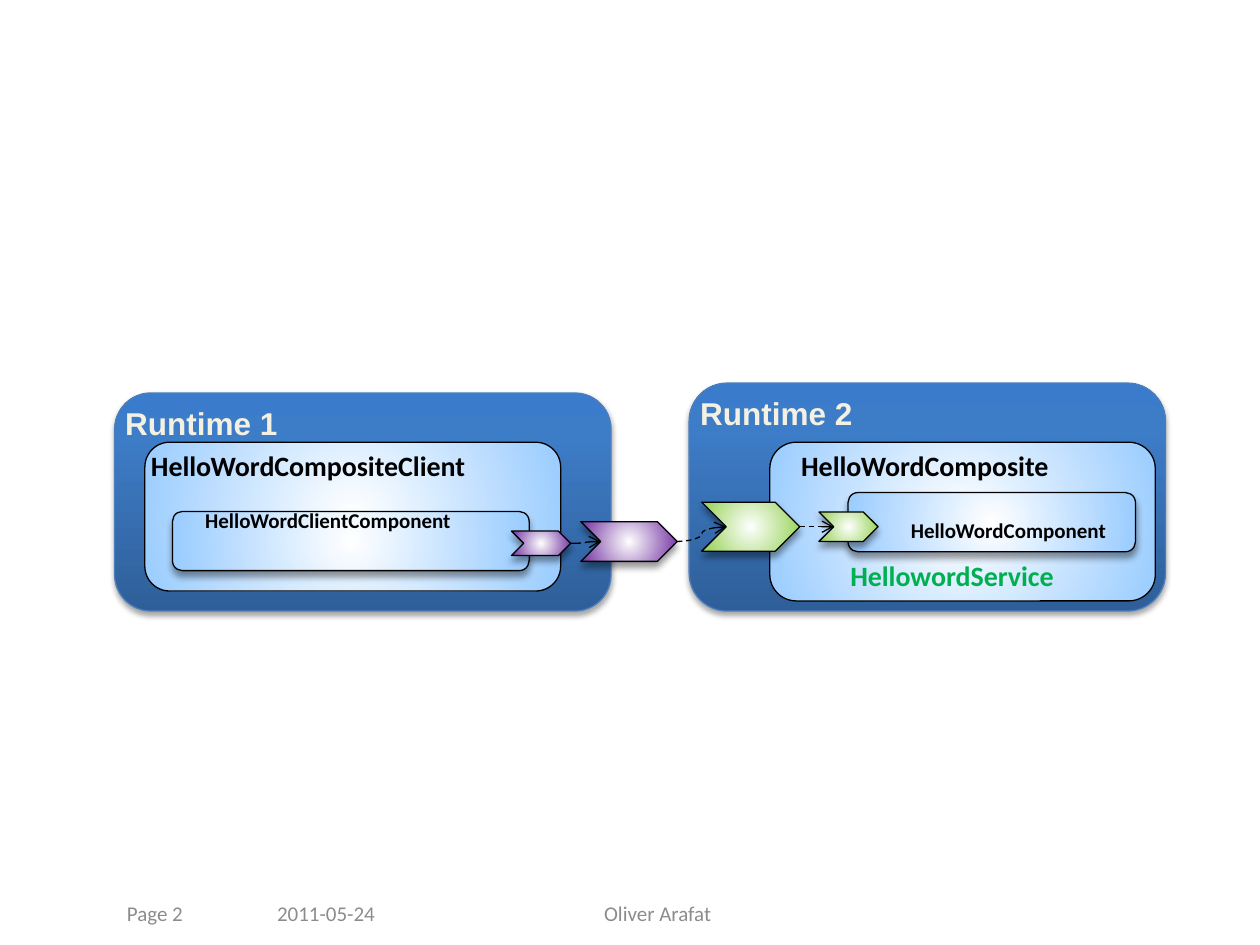
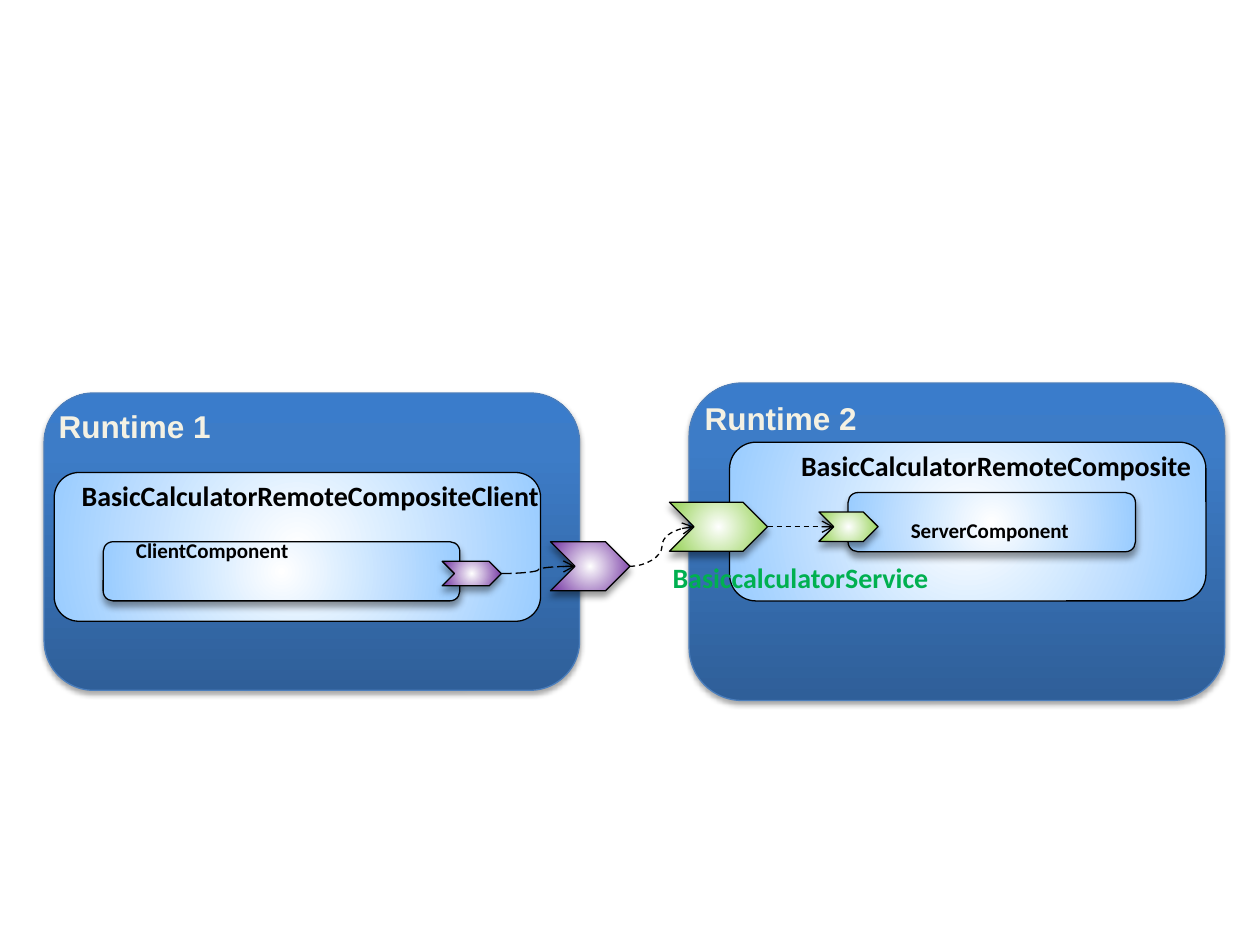
from dataclasses import dataclass

from lxml import etree
from pptx import Presentation
from pptx.dml.color import RGBColor
from pptx.enum import dml, shapes, text
from pptx.oxml import ns
from pptx.util import Pt

# Shared colours and type
BLACK, GREY, CREAM = "000000", "8C8C8C", "F4F1E3"
SERVICE_GREEN, RUNTIME_EDGE = "00B050", "4B7EBC"
PURPLE, LIME, SKY = "7030A0", "92D050", "99CCFF"
RUNTIME_STOPS = [(0, "2F5F99"), (80, "3D7CC7"), (100, "3A7CCB")]
BODY_FONT, RUNTIME_FONT = "Calibri", "Arial"
LEFT, CENTER, RIGHT = text.PP_ALIGN.LEFT, text.PP_ALIGN.CENTER, text.PP_ALIGN.RIGHT
DASH, LONG_DASH = dml.MSO_LINE.DASH, dml.MSO_LINE.LONG_DASH
NOTCH, TIP = 1, 3  # connection sites of a chevron


@dataclass
class Box:
    x: float
    y: float
    w: float
    h: float


@dataclass
class Shadow:
    alpha: int
    blur: float
    dist: float


@dataclass
class Label:
    text: str
    box: Box
    size: int = 16
    color: str = BLACK
    bold: bool = True
    wrap: bool = False
    align: text.PP_ALIGN = LEFT
    anchor: text.MSO_ANCHOR = text.MSO_ANCHOR.TOP


@dataclass
class Runtime:
    name: str
    frame: Box
    composite: Box
    component: Box
    inner_port: Box
    outer_port: Box
    port_color: str
    labels: list[Label]


RUNTIME_SHADOW = Shadow(35, 3.15, 1.8)
PART_SHADOW = Shadow(40, 4, 3)


def rgb(color: str) -> RGBColor:
    return RGBColor.from_string(color)


def add_xml(parent, tag: str, **attrs):
    return etree.SubElement(parent, ns.qn(tag), {k: str(v) for k, v in attrs.items()})


def set_gradient(sp, stops: list, radial: bool) -> None:
    sp.fill.background()
    old = sp._element.spPr.find(ns.qn("a:noFill"))
    grad = etree.Element(ns.qn("a:gradFill"), rotWithShape="1")
    gs_list = add_xml(grad, "a:gsLst")
    for pos, color in stops:
        gs = add_xml(gs_list, "a:gs", pos=pos * 1000)
        add_xml(gs, "a:srgbClr", val=color)
    if radial:
        path = add_xml(grad, "a:path", path="circle")
        add_xml(path, "a:fillToRect", l=50000, t=50000, r=50000, b=50000)
    else:
        add_xml(grad, "a:lin", ang=270 * 60000, scaled=0)
    old.getparent().replace(old, grad)


def set_shadow(sp, shadow: Shadow | None) -> None:
    sp.shadow.inherit = False
    if shadow:
        effects = sp._element.spPr.find(ns.qn("a:effectLst"))
        outer = add_xml(effects, "a:outerShdw", blurRad=Pt(shadow.blur),
                        dist=Pt(shadow.dist), dir=90 * 60000, rotWithShape=0)
        add_xml(add_xml(outer, "a:srgbClr", val=BLACK), "a:alpha",
                val=shadow.alpha * 1000)


def add_part(s, kind, box: Box, stops: list, shadow: Shadow | None = None,
             edge: str = BLACK, radial: bool = True):
    sp = s.shapes.add_shape(kind, Pt(box.x), Pt(box.y), Pt(box.w), Pt(box.h))
    set_gradient(sp, stops, radial)
    sp.line.color.rgb = rgb(edge)
    sp.line.width = Pt(0.75)
    set_shadow(sp, shadow)
    return sp


def add_rounded(s, box: Box, shadow: Shadow | None = None):
    return add_part(s, shapes.MSO_SHAPE.ROUNDED_RECTANGLE, box,
                    [(0, "FFFFFF"), (100, SKY)], shadow)


def add_port(s, box: Box, color: str):
    return add_part(s, shapes.MSO_SHAPE.CHEVRON, box,
                    [(0, "FFFFFF"), (100, color)], PART_SHADOW)


def style_run(p, font: str, size: float, color: str, bold: bool) -> None:
    f = p.runs[0].font
    f.name, f.size, f.bold = font, Pt(size), bold
    f.color.rgb = rgb(color)


def add_label(s, label: Label) -> None:
    b = label.box
    tf = s.shapes.add_textbox(Pt(b.x), Pt(b.y), Pt(b.w), Pt(b.h)).text_frame
    tf.word_wrap = label.wrap
    tf.vertical_anchor = label.anchor
    tf.text = label.text
    p = tf.paragraphs[0]
    p.alignment = label.align
    style_run(p, BODY_FONT, label.size, label.color, label.bold)


def add_frame(s, name: str, box: Box) -> None:
    sp = add_part(s, shapes.MSO_SHAPE.ROUNDED_RECTANGLE, box, RUNTIME_STOPS,
                  RUNTIME_SHADOW, RUNTIME_EDGE, radial=False)
    tf = sp.text_frame
    tf.margin_left = tf.margin_right = tf.margin_top = tf.margin_bottom = 0
    tf.vertical_anchor = text.MSO_ANCHOR.TOP
    tf.text = name
    p = tf.paragraphs[0]
    p.alignment = LEFT
    # Spacing in per cent of the line
    before = add_xml(p._p.get_or_add_pPr(), "a:spcBef")
    add_xml(before, "a:spcPct", val=50000)
    style_run(p, RUNTIME_FONT, 18, CREAM, True)


def add_runtime(s, rt: Runtime) -> tuple:
    add_frame(s, rt.name, rt.frame)
    add_rounded(s, rt.composite)
    add_rounded(s, rt.component, PART_SHADOW)
    for label in rt.labels:
        add_label(s, label)
    return (add_port(s, rt.inner_port, rt.port_color),
            add_port(s, rt.outer_port, rt.port_color))


def add_wire(s, source, target, dash) -> None:
    """Curve from the tip of one chevron to the notch of the next."""
    end_x = target.left + target.height // 2
    end_y = target.top + target.height // 2
    cx = s.shapes.add_connector(shapes.MSO_CONNECTOR.CURVE, source.left + source.width,
                                source.top + source.height // 2, end_x, end_y)
    cx.begin_connect(source, TIP)
    cx.end_connect(target, NOTCH)
    cx.end_x, cx.end_y = end_x, end_y
    cx.line.color.rgb = rgb(BLACK)
    cx.line.width = Pt(0.75)
    cx.line.dash_style = dash
    add_xml(cx.line._get_or_add_ln(), "a:tailEnd", type="arrow")
    add_xml(cx._element.spPr, "a:effectLst")


def add_diagram(s, client: Runtime, server: Runtime) -> None:
    server_inner, server_outer = add_runtime(s, server)
    client_inner, client_outer = add_runtime(s, client)
    add_wire(s, server_outer, server_inner, DASH)
    add_wire(s, client_inner, client_outer, LONG_DASH)
    add_wire(s, client_outer, server_outer, DASH)


def composite_label(name: str, x: float, y: float, w: float,
                    color: str = BLACK) -> Label:
    return Label(name, Box(x, y, w, 26.6), color=color)


def component_label(name: str, x: float, y: float, w: float) -> Label:
    return Label(name, Box(x, y, w, 21.8), size=12, wrap=True)


def client_runtime(frame: Box, composite: Box, component_at: tuple, outer: Box,
                   component: str, title: Label) -> Runtime:
    x, y = component_at
    return Runtime("Runtime 1", frame, composite, Box(x, y, 203.8, 33.8),
                   Box(x + 193.7, y + 11.2, 33.8, 14), outer, PURPLE,
                   [component_label(component, x + 11.6, y - 5.8, 192.2), title])


def server_runtime(frame: Box, composite: Box, outer_x: float, component: str,
                   title: Label, service: Label) -> Runtime:
    return Runtime("Runtime 2", frame, composite, Box(484.6, 281.5, 164.2, 33.8),
                   Box(468, 292.6, 33.8, 16.8), Box(outer_x, 287, 56, 28), LIME,
                   [component_label(component, 513.4, 292.3, 141.8), title, service])


def add_footer(s, page: str, date: str, author: str) -> None:
    for words, x, w, align in ((date, 151.2, 85, LEFT), (author, 283.7, 184.3, CENTER),
                               (page, 42.5, 69.1, RIGHT)):
        add_label(s, Label(words, Box(x, 511.2, w, 21.6), 12, GREY, False, True,
                           align, text.MSO_ANCHOR.MIDDLE))


prs = Presentation()
prs.slide_width, prs.slide_height = Pt(720), Pt(540)
blank = prs.slide_layouts[6]

# Slide 1: hello world client and service
s = prs.slides.add_slide(blank)
add_diagram(
    s,
    client_runtime(Box(65.5, 224.6, 283.7, 124.6), Box(82.8, 252.7, 237.6, 85),
                   (98.6, 292.3), Box(331.9, 298.1, 55.1, 22.7),
                   "HelloWordClientComponent",
                   composite_label("HelloWordCompositeClient", 79.2, 252.7, 196.6)),
    server_runtime(Box(393.8, 218.9, 272.2, 130.3), Box(439.9, 252.7, 220.3, 90.7),
                   401, "HelloWordComponent",
                   composite_label("HelloWordComposite", 450.7, 252.7, 157.7),
                   composite_label("HellowordService", 478.8, 315.4, 132.5,
                                   SERVICE_GREEN)))
add_footer(s, "Page 2", "2011-05-24", "Oliver Arafat")

# Slide 2: calculator client and service
s = prs.slides.add_slide(blank)
add_diagram(
    s,
    client_runtime(Box(25.2, 224.6, 306, 169.9), Box(31, 270, 277.9, 85),
                   (59, 309.6), Box(314.6, 309.6, 45.4, 28),
                   "ClientComponent",
                   composite_label("BasicCalculatorRemoteCompositeClient",
                                   39.6, 270, 278.6)),
    server_runtime(Box(393.8, 218.9, 306, 181.4), Box(416.9, 252.7, 272.2, 90.7),
                   382.6, "ServerComponent",
                   composite_label("BasicCalculatorRemoteComposite", 450.7, 252.7, 240.5),
                   composite_label("BasiccalculatorService", 377.3, 316.8, 162.7,
                                   SERVICE_GREEN)))

prs.save("out.pptx")
